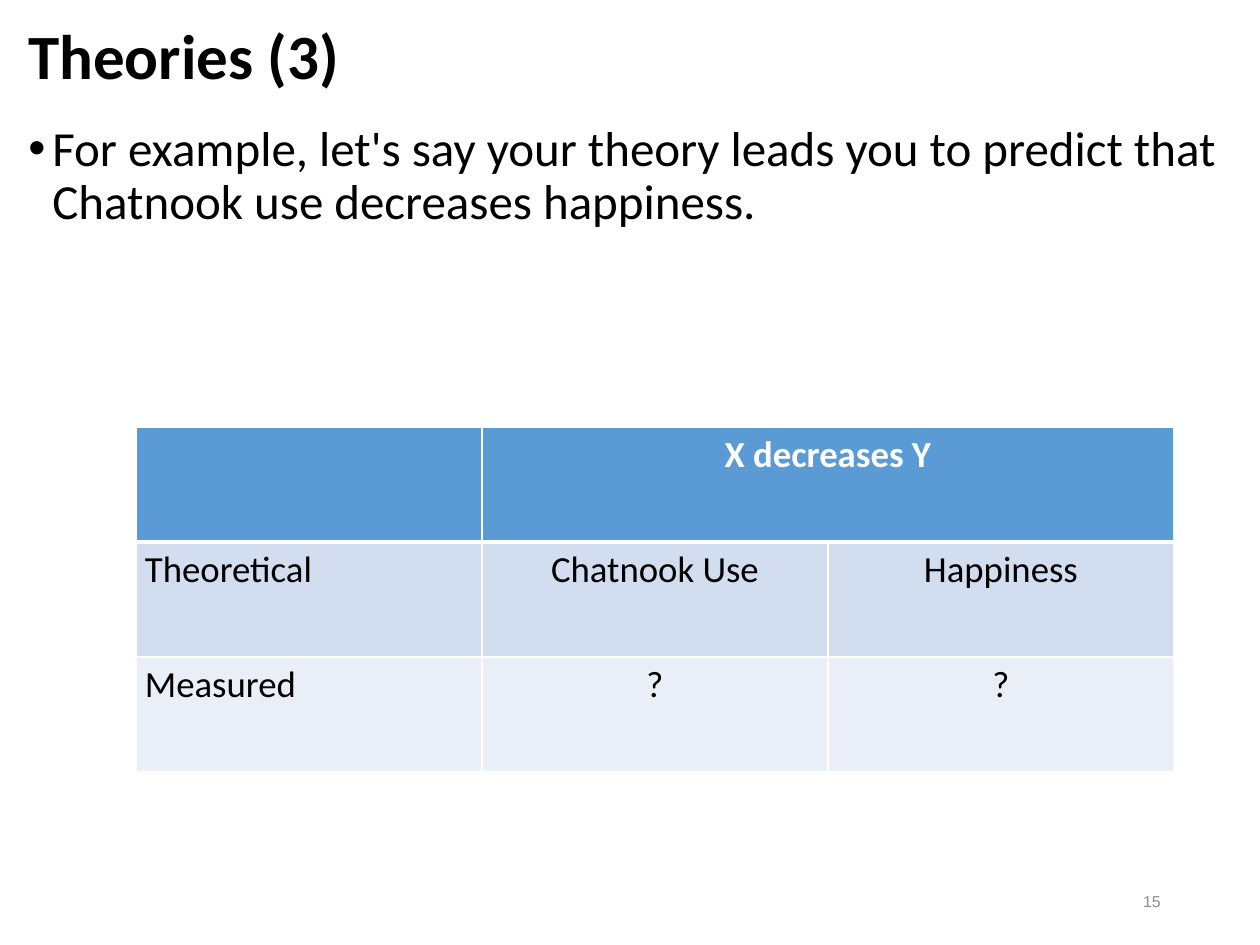
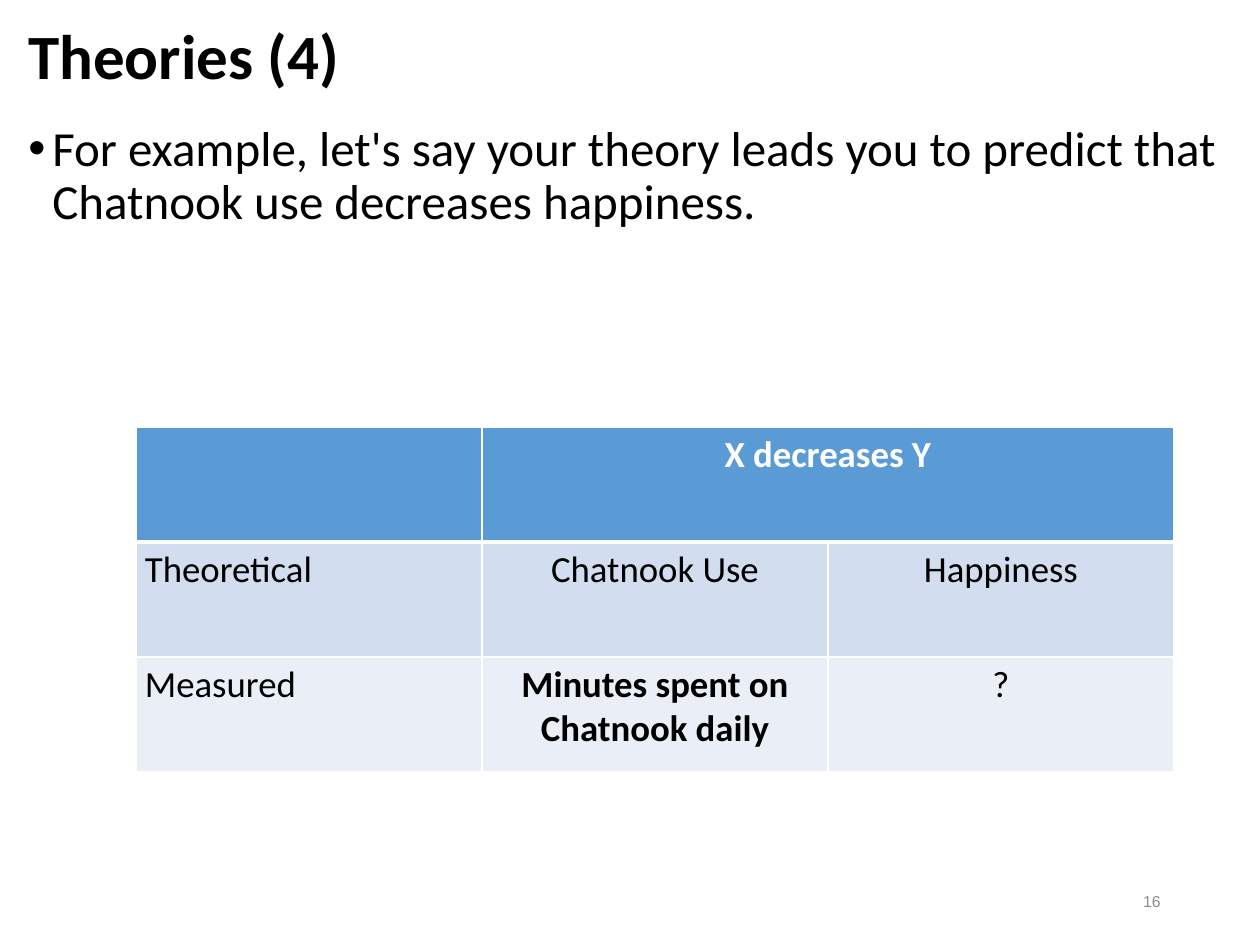
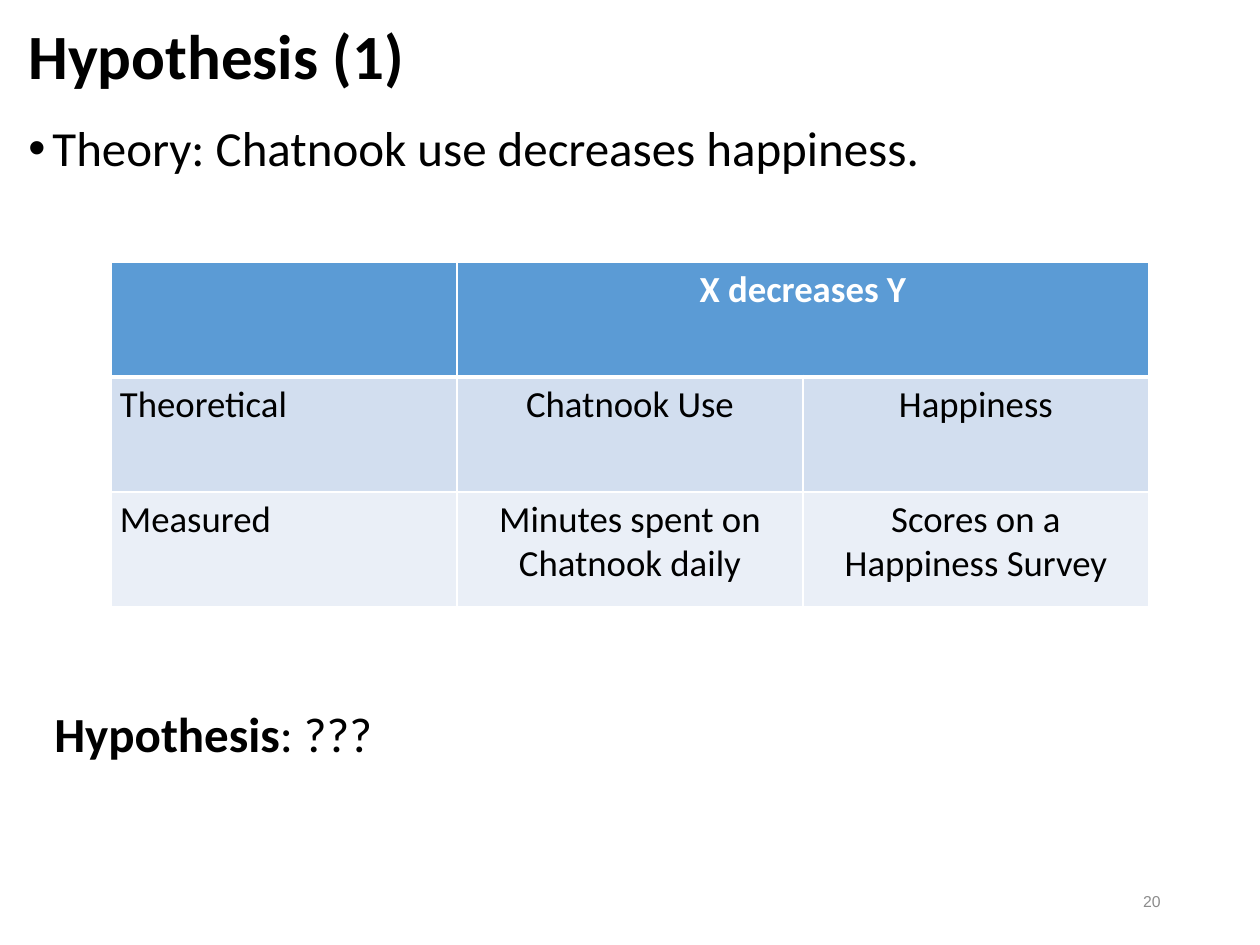
from dataclasses import dataclass

from lxml.etree import SubElement
from pptx import Presentation
from pptx.dml.color import RGBColor
from pptx.enum.text import MSO_ANCHOR, PP_ALIGN
from pptx.oxml import parse_xml
from pptx.oxml.ns import nsdecls, qn
from pptx.util import Pt

PX = 914400 / 126  # EMU in one px


@dataclass(frozen=True)
class Theme:
    black: str = "000000"
    white: str = "FFFFFF"
    grey: str = "8C8C8C"
    header: str = "5B9BD5"
    bands: tuple = ("D2DEEF", "EAEFF7")
    body_font: str = "Calibri"
    number_font: str = "Arial"
    title_size: int = 36
    body_size: int = 28
    table_size: int = 21
    number_size: int = 9


THEME = Theme()

# Boxes: left, top, width, height in px
PAGE = (1260, 945)
TITLE_BOX = (16, 15, 1086, 88)
BODY_BOX = (16, 118, 1226, 803)
NUMBER_BOX = (890, 876, 283, 50)
HYPOTHESIS_BOX = (42, 697, 1145, 72)
THEORY_TABLE_BOX = (136, 427, 1038, 345)
HYPOTHESIS_TABLE_BOX = (111, 262, 1038, 345)

HANGING_INDENT = 24
CELL_MARGINS = {"margin_left": 9, "margin_right": 9, "margin_top": 5, "margin_bottom": 5}

EXAMPLE = ("For example, let's say your theory leads you to predict that "
           "Chatnook use decreases happiness.")
MINUTES = "Minutes spent on Chatnook daily"


def emu(*lengths):
    return [round(length * PX) for length in lengths]


def set_all(target, values):
    for name, value in values.items():
        setattr(target, name, value)


def style_font(font, size, color=THEME.black, bold=False, name=THEME.body_font):
    set_all(font, {"size": Pt(size), "bold": bold, "name": name})
    font.color.rgb = RGBColor.from_string(color)


def add_text(slide, box, runs, size, anchor=MSO_ANCHOR.TOP, paragraph_format=None, **font):
    """Write one paragraph of (words, bold) runs and return it."""
    frame = slide.shapes.add_textbox(*emu(*box)).text_frame
    set_all(frame, {"word_wrap": True, "vertical_anchor": anchor})
    paragraph = frame.paragraphs[0]
    set_all(paragraph, paragraph_format or {})
    for words, bold in runs:
        run = paragraph.add_run()
        run.text = words
        style_font(run.font, size, bold=bold, **font)
    return paragraph


# Title, bulleted statement and slide number
def add_page(deck, title, statement, number):
    slide = deck.slides.add_slide(deck.slide_layouts[6])
    add_text(slide, TITLE_BOX, [(title, True)], THEME.title_size,
             MSO_ANCHOR.MIDDLE, {"line_spacing": 0.9})
    bullet = add_text(slide, BODY_BOX, [(statement, False)], THEME.body_size,
                      paragraph_format={"line_spacing": 0.9})
    properties = bullet._p.get_or_add_pPr()
    indent, = emu(HANGING_INDENT)
    properties.set("marL", str(indent))
    properties.set("indent", str(-indent))
    SubElement(properties, qn("a:buFont"), typeface="Arial")
    SubElement(properties, qn("a:buChar"), char="•")
    add_text(slide, NUMBER_BOX, [(str(number), False)], THEME.number_size,
             MSO_ANCHOR.MIDDLE, {"alignment": PP_ALIGN.RIGHT},
             color=THEME.grey, name=THEME.number_font)
    return slide


def add_borders(cell, widths):
    properties = cell._tc.get_or_add_tcPr()
    for position, (side, width) in enumerate(widths.items()):
        properties.insert(position, parse_xml(
            f'<a:ln{side} {nsdecls("a")} w="{Pt(width)}"><a:solidFill>'
            f'<a:srgbClr val="{THEME.white}"/></a:solidFill></a:ln{side}>'))


# Table of theoretical and measured variables
def add_variables(slide, box, measured_x, measured_y, emphasised=()):
    rows = [("", "X decreases Y", ""),
            ("Theoretical", "Chatnook Use", "Happiness"),
            ("Measured", measured_x, measured_y)]
    table = slide.shapes.add_table(len(rows), len(rows[0]), *emu(*box)).table
    table.cell(0, 1).merge(table.cell(0, 2))
    margins = dict(zip(CELL_MARGINS, emu(*CELL_MARGINS.values())))
    for r, row in enumerate(rows):
        is_header = r == 0
        fill = THEME.header if is_header else THEME.bands[r - 1]
        widths = {"L": 1, "R": 1, "T": 3 if r == 1 else 1, "B": 3 if is_header else 1}
        for c, words in enumerate(row):
            cell = table.cell(r, c)
            set_all(cell, margins)
            cell.fill.solid()
            cell.fill.fore_color.rgb = RGBColor.from_string(fill)
            add_borders(cell, widths)
            if not words:
                continue
            cell.text = words
            paragraph = cell.text_frame.paragraphs[0]
            paragraph.alignment = PP_ALIGN.CENTER if c else PP_ALIGN.LEFT
            style_font(paragraph.runs[0].font, THEME.table_size,
                       THEME.white if is_header else THEME.black,
                       is_header or words in emphasised)


def add_theory_slide(deck, part, number, measured_x, emphasised=()):
    slide = add_page(deck, f"Theories ({part})", EXAMPLE, number)
    add_variables(slide, THEORY_TABLE_BOX, measured_x, "?", emphasised)


def add_hypothesis_slide(deck):
    slide = add_page(deck, "Hypothesis (1)", "Theory: Chatnook use decreases happiness.", 20)
    add_variables(slide, HYPOTHESIS_TABLE_BOX, MINUTES, "Scores on a Happiness Survey")
    add_text(slide, HYPOTHESIS_BOX, [("Hypothesis", True), (": ???", False)], THEME.body_size)


def main():
    deck = Presentation()
    deck.slide_width, deck.slide_height = emu(*PAGE)
    add_theory_slide(deck, 3, 15, "?")
    add_theory_slide(deck, 4, 16, MINUTES, emphasised=(MINUTES,))
    add_hypothesis_slide(deck)
    deck.save("out.pptx")


if __name__ == "__main__":
    main()
